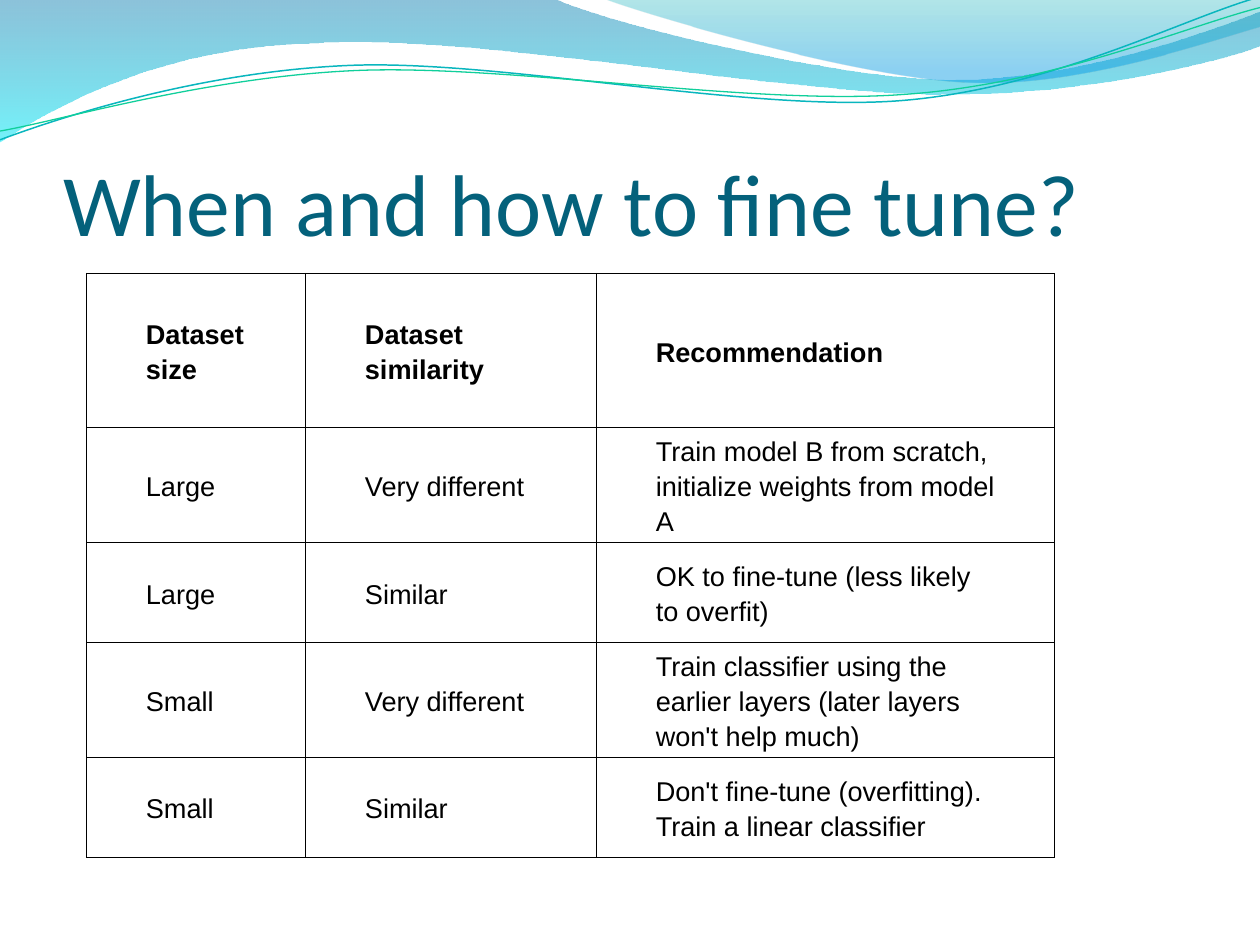
import math

import pptx
import pptx.dml.color
import pptx.enum.text
import pptx.oxml
import pptx.util
from pptx.oxml.ns import nsdecls

Pt = pptx.util.Pt
RGB = pptx.dml.color.RGBColor.from_string
ENUM = pptx.enum.text

HUES = {
    "title": "04617B", "text": "000000", "cell": "FFFFFF", "rule": "000000",
    "blue": "0079AD", "aqua": "00E9F7", "teal": "00ABB4", "sky": "0099E4",
    "cyan": "09B6BE", "green": "10CF9B",
}


def trace(box, start, parts, close=False, turn=0):
    """Draw a path in a box turned by some degrees; parts are line ends (x, y)
    or cubic curves (x1, y1, x2, y2, x, y), given as they show on the slide."""
    left, top, width, height = box
    cos, sin = math.cos(math.radians(-turn)), math.sin(math.radians(-turn))

    def dots(part):
        out = ""
        for x, y in zip(part[::2], part[1::2]):
            dx, dy = x - left - width / 2, y - top - height / 2
            px, py = dx * cos - dy * sin + width / 2, dx * sin + dy * cos + height / 2
            out += f'<a:pt x="{Pt(px)}" y="{Pt(py)}"/>'
        return out

    pen = slide.shapes.build_freeform(Pt(left), Pt(top))
    pen.add_line_segments([(Pt(left + width), Pt(top + height))], close=close)
    shape = pen.convert_to_shape()
    shape.shadow.inherit = False
    shape.rotation = turn
    steps = f"<a:moveTo>{dots(start)}</a:moveTo>"
    for part in parts:
        tag = "lnTo" if len(part) == 2 else "cubicBezTo"
        steps += f"<a:{tag}>{dots(part)}</a:{tag}>"
    if close:
        steps += "<a:close/>"
    route = pptx.oxml.parse_xml(
        f'<a:pathLst {nsdecls("a")}><a:path w="{Pt(width)}" h="{Pt(height)}">'
        f"{steps}</a:path></a:pathLst>")
    geom = shape.element.spPr.custGeom
    geom.replace(geom.pathLst, route)
    return shape


deck = pptx.Presentation()
deck.slide_width, deck.slide_height = Pt(720), Pt(540)
slide = deck.slides.add_slide(deck.slide_layouts[5])

# Shaded waves: box, start, parts, gradient stops (position %, hue, opacity %)
waves = [
    ((-0.7, -0.7, 721.4, 82.1), (0, 0),
     [(316.8, -0.7), (342.7, 12.2, 478.1, 45.4, 545.8, 45.4),
      (614.2, 45.4, 689.8, 18.7, 720, 6.5), (720.7, 25.9),
      (707.8, 31.7, 626.4, 54.7, 537.1, 54), (447.8, 54, 275, 20.2, 185, 24.5),
      (92.9, 25.9, 33.1, 59.8, -0.7, 81.4), (0, 0)],
     [(0, "blue", 45), (100, "aqua", 55)]),
    ((344.9, -0.7, 375.1, 50.4), (344.9, -0.7),
     [(366.5, 7.9, 491, 44.6, 553.7, 46.8),
      (616.3, 49.7, 691.9, 23, 720, 15.1), (720, 0), (344.9, -0.7)],
     [(0, "teal", 30), (80, "sky", 45), (100, "sky", 45)]),
]
for box, start, parts, stops in waves:
    wave = trace(box, start, parts, close=True)
    wave.line.fill.background()
    marks = "".join(
        f'<a:gs pos="{pos * 1000}"><a:srgbClr val="{HUES[hue]}">'
        f'<a:alpha val="{alpha * 1000}"/></a:srgbClr></a:gs>'
        for pos, hue, alpha in stops)
    grad = pptx.oxml.parse_xml(
        f'<a:gradFill {nsdecls("a")} rotWithShape="1"><a:gsLst>{marks}</a:gsLst>'
        '<a:lin ang="5400000" scaled="0"/></a:gradFill>')
    wave.element.spPr.custGeom.addnext(grad)

# Thin curves: hue, line width, box, start, parts
curves = [
    ("cyan", 0.85, (-1.4, 15.8, 721.4, 51.1), (0, 79.9),
     [(34.6, 67, 113.8, 41, 199.4, 37.4), (284.4, 33.8, 427, 64.1, 513.4, 57.6),
      (599.8, 51.1, 675.4, 10.8, 718.6, -1.4)]),
    ("green", 0.75, (-1.4, 21.6, 722.2, 41.8), (0, 74.9),
     [(33.8, 69.1, 118.1, 43.9, 203.8, 40.3), (290.2, 36.7, 429.8, 60.5, 516.2, 54),
      (601.9, 48.2, 677.5, 15.1, 720, 4.3)]),
]
for hue, width, box, start, parts in curves:
    curve = trace(box, start, parts, turn=357.3)
    curve.fill.background()
    curve.line.color.rgb = RGB(HUES[hue])
    curve.line.width = Pt(width)

title = slide.shapes.title
slide.shapes.element.append(title.element)  # in front of the waves
title.left, title.top, title.width, title.height = Pt(36), Pt(55.4), Pt(648), Pt(90)
frame = title.text_frame
frame.text = "When and how to fine tune?"
frame.auto_size = ENUM.MSO_AUTO_SIZE.NONE
frame.vertical_anchor = ENUM.MSO_ANCHOR.BOTTOM
frame.margin_left = frame.margin_right = frame.margin_bottom = 0
frame.margin_top = Pt(3.6)
para = frame.paragraphs[0]
para.alignment = ENUM.PP_ALIGN.LEFT
font = para.runs[0].font
font.name, font.size = "Calibri", Pt(50)
font.color.rgb = RGB(HUES["title"])

rows = [
    ("Dataset size", "Dataset similarity", "Recommendation"),
    ("Large", "Very different",
     "Train model B from scratch, initialize weights from model A"),
    ("Large", "Similar", "OK to fine-tune (less likely to overfit)"),
    ("Small", "Very different",
     "Train classifier using the earlier layers (later layers won't help much)"),
    ("Small", "Similar", "Don't fine-tune (overfitting). Train a linear classifier"),
]
widths = [125.2, 166.2, 261.8]
heights = [88] + [57] * 4
table = slide.shapes.add_table(len(rows), len(widths), Pt(49.6), Pt(156.2),
                               Pt(sum(widths)), Pt(sum(heights))).table
table.first_row = table.horz_banding = False
for col, width in zip(table.columns, widths):
    col.width = Pt(width)
for row, height in zip(table.rows, heights):
    row.height = Pt(height)

for r, row in enumerate(rows):
    for c, words in enumerate(row):
        cell = table.cell(r, c)
        cell.text_frame.text = words
        cell.vertical_anchor = ENUM.MSO_ANCHOR.MIDDLE
        cell.margin_left = cell.margin_right = Pt(2.75)
        cell.margin_top = cell.margin_bottom = Pt(3.1)
        props = cell._tc.get_or_add_tcPr()
        for side in "LRTB":
            props.append(pptx.oxml.parse_xml(
                f'<a:ln{side} {nsdecls("a")} w="{Pt(0.75)}"><a:solidFill>'
                f'<a:srgbClr val="{HUES["rule"]}"/></a:solidFill></a:ln{side}>'))
        cell.fill.solid()
        cell.fill.fore_color.rgb = RGB(HUES["cell"])
        para = cell.text_frame.paragraphs[0]
        para.line_spacing = 1.15
        para.space_before = para.space_after = Pt(16)
        for edge in ("marL", "marR"):
            para._p.get_or_add_pPr().set(edge, str(Pt(31)))
        font = para.runs[0].font
        font.name, font.size, font.bold = "Arial", Pt(15.5), r == 0
        font.color.rgb = RGB(HUES["text"])

deck.save("out.pptx")
